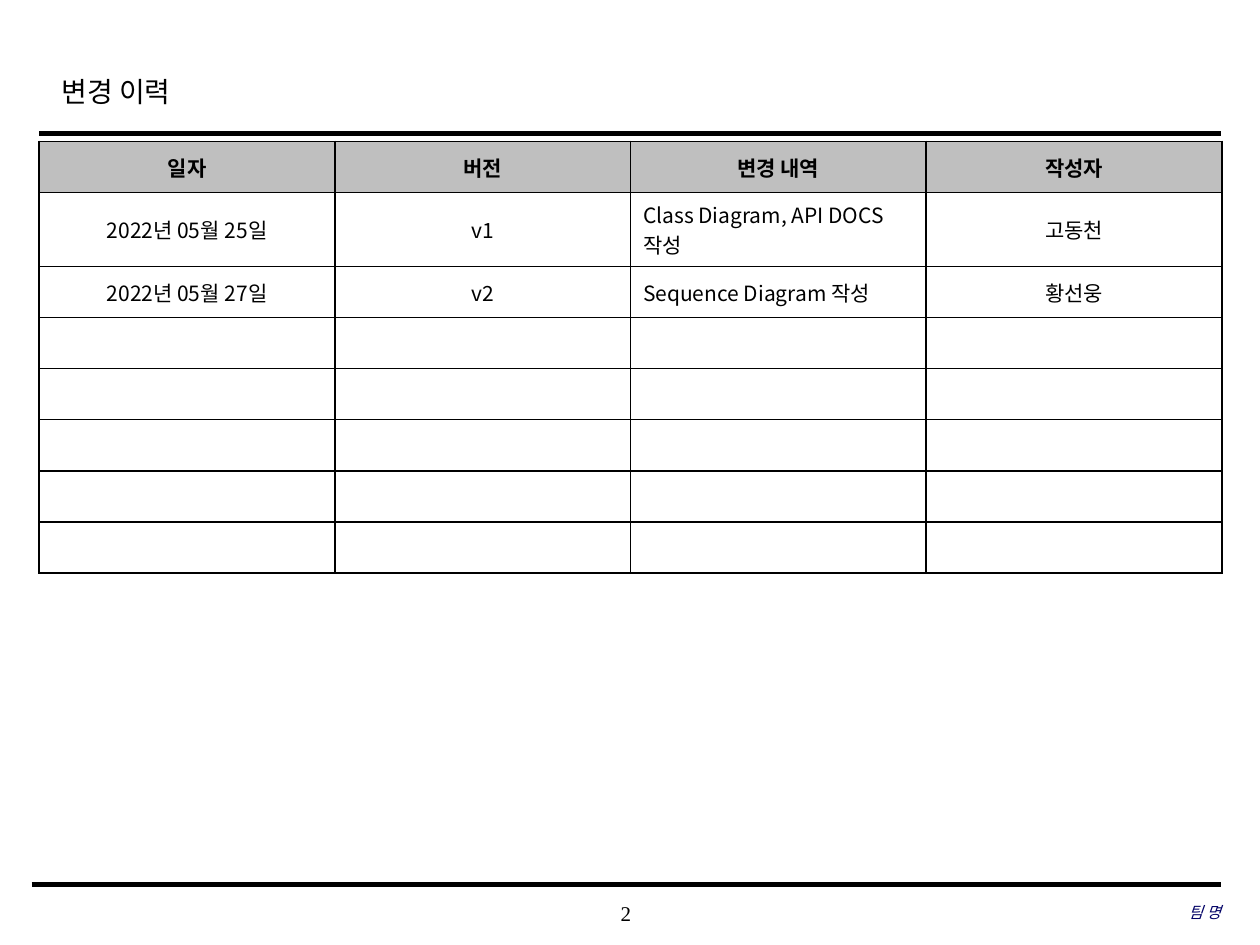
"""Build the change history slide with its revision table."""
import pptx
import pptx.dml.color
import pptx.enum.shapes
import pptx.enum.text
import pptx.util
from pptx.oxml.ns import qn
from lxml import etree

Cm, Pt = pptx.util.Cm, pptx.util.Pt
ALIGN, ANCHOR = pptx.enum.text.PP_ALIGN, pptx.enum.text.MSO_ANCHOR
COLORS = {"ink": "000000", "header": "BFBFBF", "cell": "FFFFFF", "team": "000066"}
KOREAN, SERIF = "Noto Sans CJK KR", "Times New Roman"

HEADER = ["일자", "버전", "변경 내역", "작성자"]
REVISIONS = [
    ["2022년 05월 25일", "v1", "Class Diagram, API DOCS 작성", "고동천"],
    ["2022년 05월 27일", "v2", "Sequence Diagram 작성", "황선웅"],
]
EMPTY_ROWS = 5
DETAIL_COLUMN = 2
LEFT, RIGHT = 0.79, 24.61
RULES = [(LEFT, 2.69, 2.5), (0.64, 17.83, 3)]
TABLE_TOP, COL_WIDTH, ROW_HEIGHT = 2.85, 5.96, 1.03
WRAPPED_ROW, WRAPPED_HEIGHT = 1, 1.49


def rgb(name):
    return pptx.dml.color.RGBColor.from_string(COLORS[name])


def style(p, size, font, align, color="ink", bold=False, italic=False):
    p.alignment = align
    for r in p.runs:
        r.font.size, r.font.name = Pt(size), font
        r.font.bold, r.font.italic = bold, italic
        r.font.color.rgb = rgb(color)
        etree.SubElement(r.font._element, qn("a:ea"), typeface=KOREAN)


def add_label(s, text, box, size, align, color="ink", italic=False, inset=True):
    tf = s.shapes.add_textbox(*map(Cm, box)).text_frame
    tf.word_wrap = True
    tf.text = text
    if not inset:
        tf.vertical_anchor = ANCHOR.MIDDLE
        tf.margin_left = tf.margin_right = tf.margin_top = tf.margin_bottom = 0
    p = tf.paragraphs[0]
    style(p, size, SERIF, align, color, italic=italic)
    return p


def add_rule(s, left, y, width):
    sp = s.shapes.add_connector(
        pptx.enum.shapes.MSO_CONNECTOR.STRAIGHT, Cm(left), Cm(y), Cm(RIGHT), Cm(y))
    sp.line.color.rgb, sp.line.width = rgb("ink"), Pt(width)
    etree.SubElement(sp._element.spPr, qn("a:effectLst"))


def add_borders(cell):
    tcPr = cell._tc.get_or_add_tcPr()
    for i, side in enumerate(("lnL", "lnR", "lnT", "lnB")):
        ln = etree.Element(qn("a:" + side), w=str(Pt(1)))
        fill = etree.SubElement(ln, qn("a:solidFill"))
        etree.SubElement(fill, qn("a:srgbClr"), val=COLORS["ink"])
        tcPr.insert(i, ln)


def add_history(s):
    rows = [HEADER] + REVISIONS + [[""] * len(HEADER)] * EMPTY_ROWS
    table = s.shapes.add_table(
        len(rows), len(HEADER), Cm(LEFT), Cm(TABLE_TOP),
        Cm(COL_WIDTH * len(HEADER)), Cm(ROW_HEIGHT * len(rows))).table
    table.rows[WRAPPED_ROW].height = Cm(WRAPPED_HEIGHT)
    for i, row in enumerate(rows):
        for j, text in enumerate(row):
            cell = table.cell(i, j)
            cell.text = text
            cell.vertical_anchor = ANCHOR.MIDDLE
            cell.fill.solid()
            cell.fill.fore_color.rgb = rgb("cell" if i else "header")
            add_borders(cell)
            p = cell.text_frame.paragraphs[0]
            align = ALIGN.LEFT if i and j == DETAIL_COLUMN else ALIGN.CENTER
            style(p, 12, KOREAN, align, bold=i == 0)
            if not text:
                etree.SubElement(p._p, qn("a:endParaRPr"), sz="1200")


def main():
    prs = pptx.Presentation()
    prs.slide_width, prs.slide_height = Cm(25.4), Cm(19.05)
    s = prs.slides.add_slide(prs.slide_layouts[6])
    add_label(s, "2", (9.98, 17.98, 5.28, 0.84), 12, ALIGN.CENTER, inset=False)
    for rule in RULES:
        add_rule(s, *rule)
    title = add_label(s, "변경 이력", (0.99, 1.24, 19.18, 1.27), 16, ALIGN.LEFT)
    title.line_spacing = 1.2
    add_label(s, "팀 명", (16.84, 17.96, 7.77, 0.84), 9, ALIGN.RIGHT,
              "team", italic=True, inset=False)
    add_history(s)
    prs.save("out.pptx")


if __name__ == "__main__":
    main()
